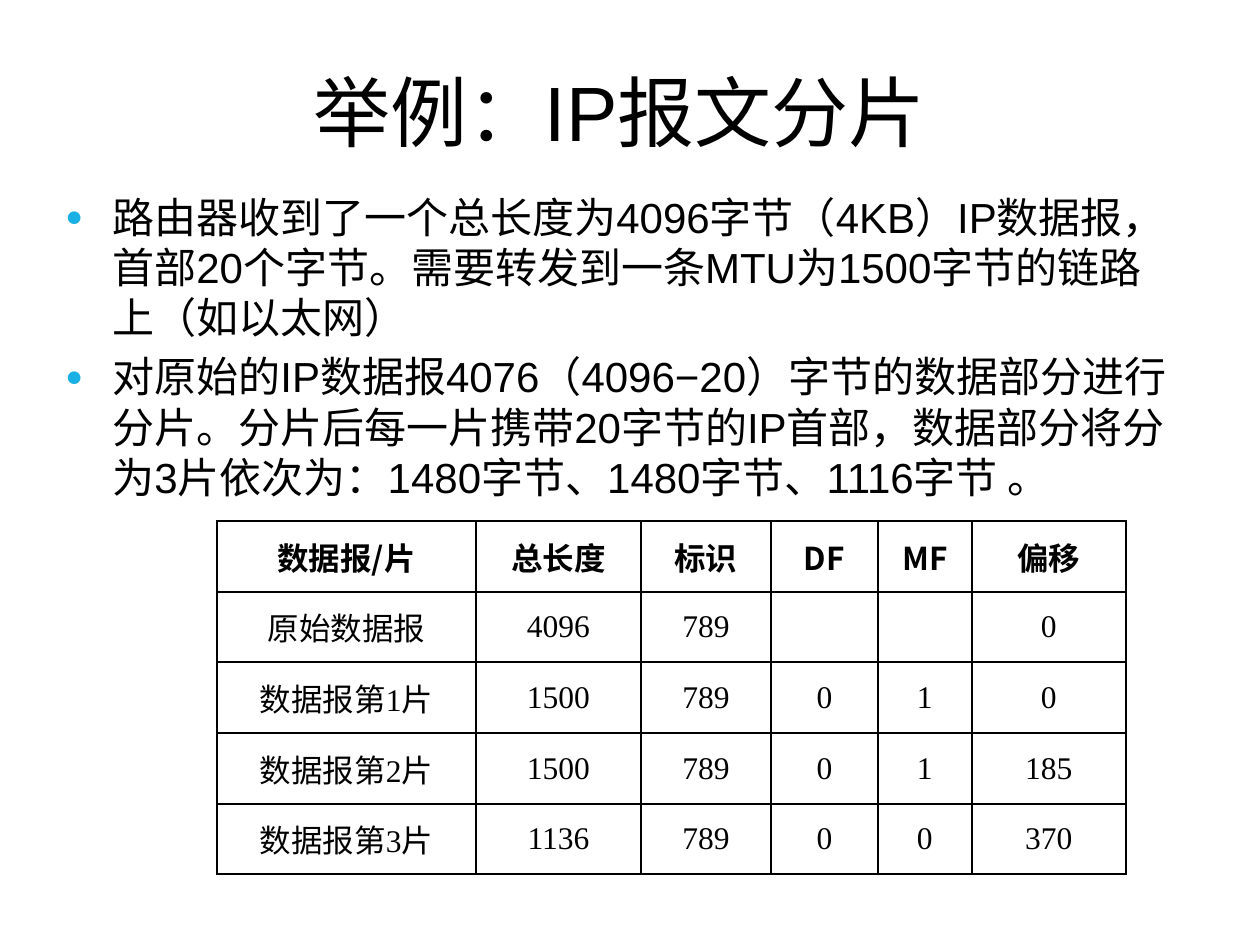
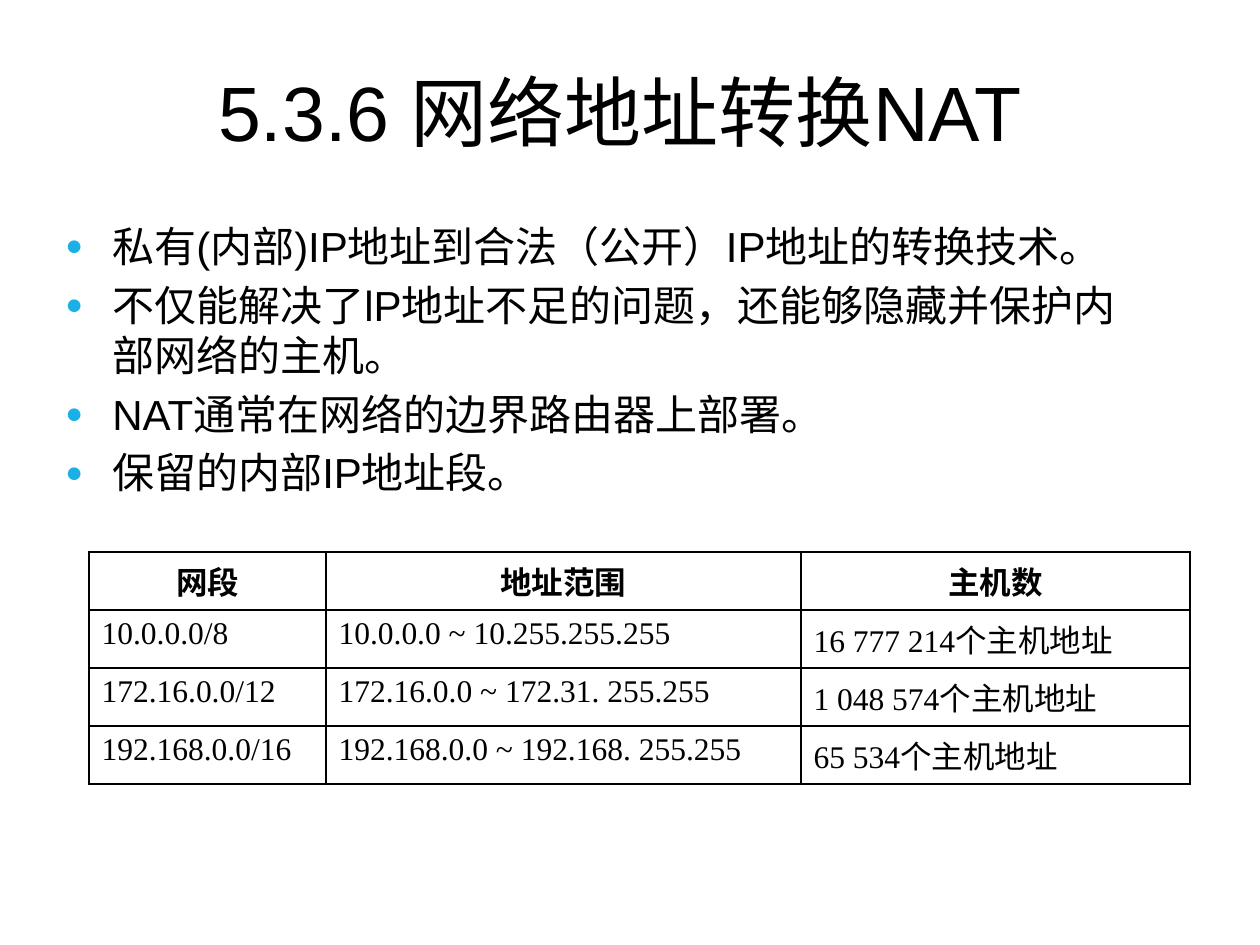
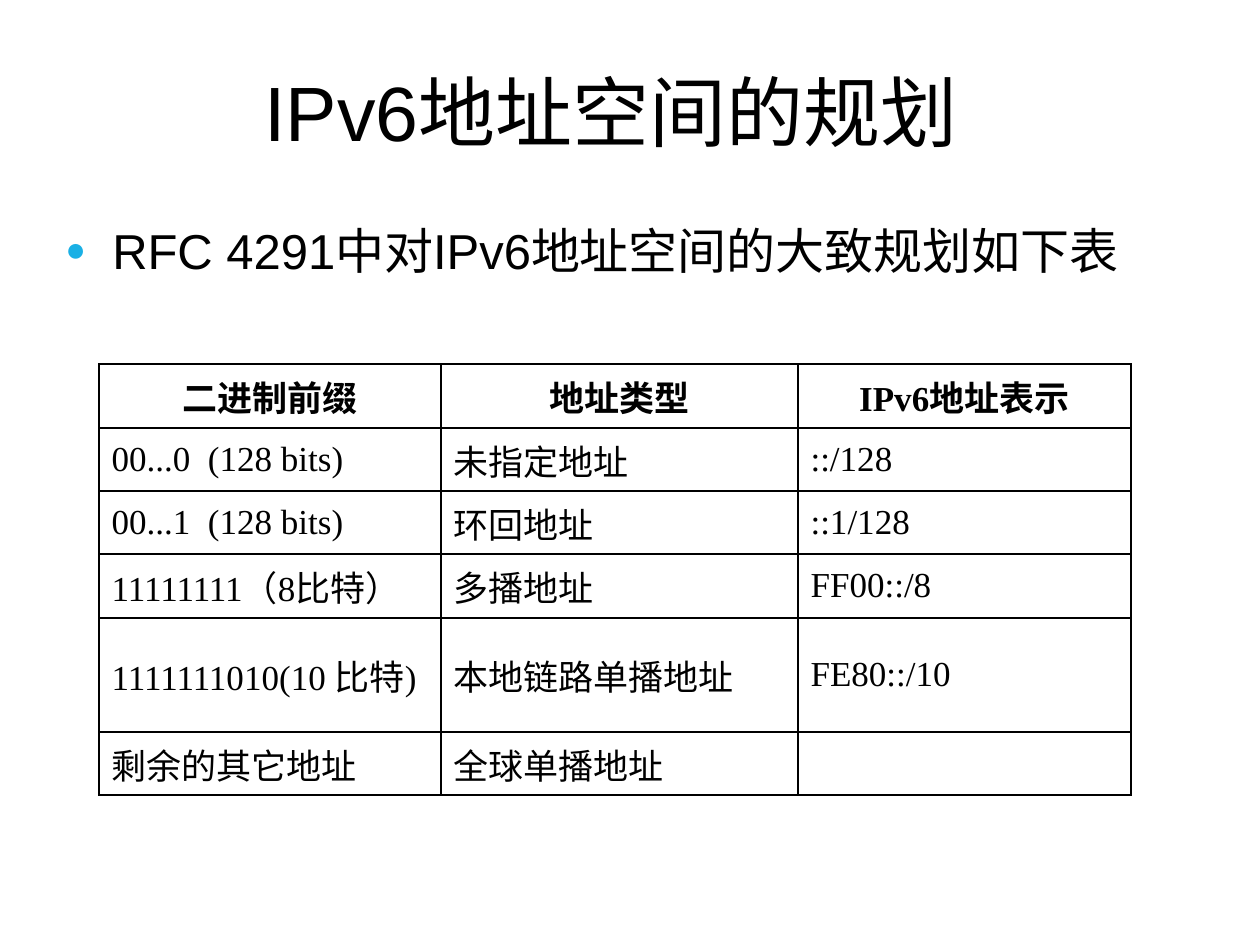
from dataclasses import dataclass

from lxml.etree import SubElement
from pptx import Presentation
from pptx.dml.color import RGBColor
from pptx.enum.text import MSO_ANCHOR, PP_ALIGN
from pptx.oxml.ns import qn
from pptx.util import Emu, Pt


@dataclass(frozen=True)
class Theme:
    ink: str = "000000"
    bullet: str = "1AB0E5"
    heading_font: str = "Arial"
    table_font: str = "Times New Roman"
    chinese_font: str = "Noto Sans CJK SC"
    title_size: int = 44
    border_width: int = 1
    hang: int = 47


THEME = Theme()
PX_PER_INCH = 126


def px(length):
    return Emu(round(length * 914400 / PX_PER_INCH))


# Text
def set_font(para, size, name, bold=False):
    font = para.font
    font.size, font.name, font.bold = Pt(size), name, bold
    font.color.rgb = RGBColor.from_string(THEME.ink)
    for span in para.runs:
        east_asian = SubElement(span._r.get_or_add_rPr(), qn("a:ea"))
        east_asian.set("typeface", THEME.chinese_font)


def set_hanging_indent(para):
    properties = para._p.get_or_add_pPr()
    properties.set("marL", str(px(THEME.hang)))
    properties.set("indent", str(-px(THEME.hang)))
    return properties


def add_bullet(para):
    properties = set_hanging_indent(para)
    color = SubElement(properties, qn("a:buClr"))
    SubElement(color, qn("a:srgbClr")).set("val", THEME.bullet)
    SubElement(properties, qn("a:buSzPct")).set("val", "70000")
    SubElement(properties, qn("a:buFont")).set("typeface", THEME.heading_font)
    SubElement(properties, qn("a:buChar")).set("char", "●")


def add_text_box(page, left, top, width, height):
    frame = page.shapes.add_textbox(px(left), px(top), px(width), px(height)).text_frame
    frame.word_wrap = True
    return frame


def add_title(page, text):
    frame = add_text_box(page, 53, 32, 1134, 158)
    frame.vertical_anchor = MSO_ANCHOR.MIDDLE
    para = frame.paragraphs[0]
    para.text = text
    para.alignment = PP_ALIGN.CENTER
    set_font(para, THEME.title_size, THEME.heading_font)


def add_bullets(page, top, width, items, size=24):
    frame = add_text_box(page, 53, top, width, 624)
    for index, item in enumerate(items):
        para = frame.add_paragraph() if index else frame.paragraphs[0]
        para.text = item
        add_bullet(para)
        if index:
            para.space_before = Pt(size * 0.2)
        set_font(para, size, THEME.heading_font)


# Tables
def add_borders(cell):
    properties = cell._tc.get_or_add_tcPr()
    for side in ("a:lnL", "a:lnR", "a:lnT", "a:lnB"):
        line = SubElement(properties, qn(side), w=str(Pt(THEME.border_width)))
        fill = SubElement(line, qn("a:solidFill"))
        SubElement(fill, qn("a:srgbClr")).set("val", THEME.ink)


def add_grid(page, left, top, columns, heights, rows, size=18, centered=False,
             anchor=MSO_ANCHOR.MIDDLE, header_font=THEME.table_font):
    table = page.shapes.add_table(len(rows), len(columns), px(left), px(top),
                                  px(sum(columns)), px(sum(heights))).table
    table.first_row = table.horz_banding = False
    for column, width in zip(table.columns, columns):
        column.width = px(width)
    for row_index, (row, height, texts) in enumerate(zip(table.rows, heights, rows)):
        row.height = px(height)
        header = row_index == 0
        for cell, text in zip(row.cells, texts):
            cell.vertical_anchor = anchor
            add_borders(cell)
            cell.fill.background()
            para = cell.text_frame.paragraphs[0]
            para.text = text
            set_hanging_indent(para)
            para.alignment = PP_ALIGN.CENTER if header or centered else PP_ALIGN.LEFT
            set_font(para, size, header_font if header else THEME.table_font, header)


# Slides
def add_fragmentation(page):
    add_title(page, "举例：IP报文分片")
    add_bullets(page, 185, 1139, [
        "路由器收到了一个总长度为4096字节（4KB）IP数据报，首部20个字节。"
        "需要转发到一条MTU为1500字节的链路上（如以太网）",
        "对原始的IP数据报4076（4096−20）字节的数据部分进行分片。"
        "分片后每一片携带20字节的IP首部，数据部分将分为3片依次为："
        "1480字节、1480字节、1116字节 。",
    ])
    add_grid(page, 217, 521, [259, 165, 130, 107, 94, 154], [71, 70, 71, 71, 70], [
        ["数据报/片", "总长度", "标识", "DF", "MF", "偏移"],
        ["原始数据报", "4096", "789", "", "", "0"],
        ["数据报第1片", "1500", "789", "0", "1", "0"],
        ["数据报第2片", "1500", "789", "0", "1", "185"],
        ["数据报第3片", "1136", "789", "0", "0", "370"],
    ], centered=True, header_font=THEME.chinese_font)


def add_address_translation(page):
    add_title(page, "5.3.6 网络地址转换NAT")
    add_bullets(page, 214, 1094, [
        "私有(内部)IP地址到合法（公开）IP地址的转换技术。",
        "不仅能解决了lP地址不足的问题，还能够隐藏并保护内部网络的主机。",
        "NAT通常在网络的边界路由器上部署。",
        "保留的内部IP地址段。",
    ])
    add_grid(page, 89, 552, [237, 475, 389], [58] * 4, [
        ["网段", "地址范围", "主机数"],
        ["10.0.0.0/8", "10.0.0.0 ~ 10.255.255.255", "16 777 214个主机地址"],
        ["172.16.0.0/12", "172.16.0.0 ~ 172.31. 255.255", "1 048 574个主机地址"],
        ["192.168.0.0/16", "192.168.0.0 ~ 192.168. 255.255", "65 534个主机地址"],
    ], anchor=MSO_ANCHOR.TOP)


def add_ipv6_plan(page):
    add_title(page, "IPv6地址空间的规划 ")
    add_bullets(page, 214, 1108, ["RFC 4291中对IPv6地址空间的大致规划如下表"], size=28)
    add_grid(page, 99, 364, [342, 357, 333], [64, 63, 63, 64, 114, 63], [
        ["二进制前缀", "地址类型", "IPv6地址表示"],
        ["00...0  (128 bits)", "未指定地址", "::/128"],
        ["00...1  (128 bits)", "环回地址", "::1/128"],
        ["11111111（8比特）", "多播地址", "FF00::/8"],
        ["1111111010(10 比特)", "本地链路单播地址", "FE80::/10"],
        ["剩余的其它地址", "全球单播地址", ""],
    ], size=20)


def main():
    deck = Presentation()
    deck.slide_width, deck.slide_height = px(1260), px(945)
    blank = deck.slide_layouts[6]
    for build in (add_fragmentation, add_address_translation, add_ipv6_plan):
        build(deck.slides.add_slide(blank))
    deck.save("out.pptx")


if __name__ == "__main__":
    main()
